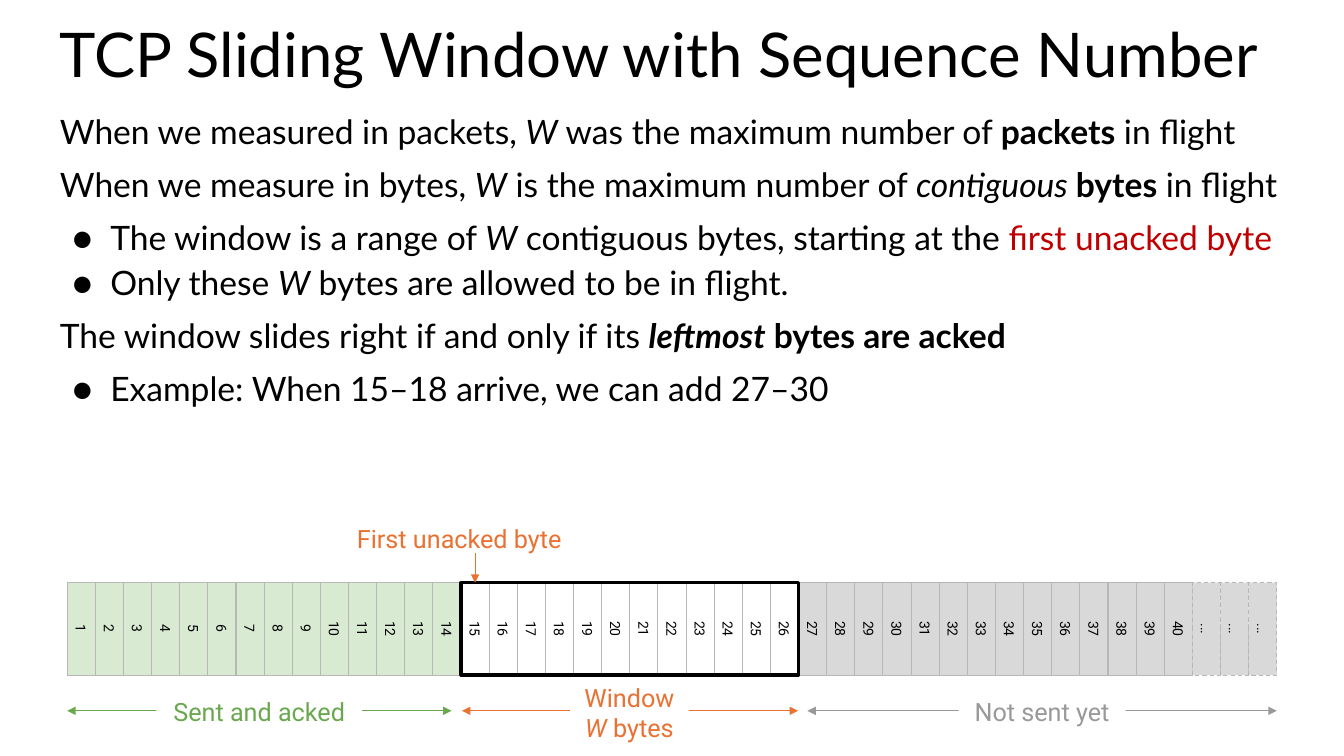
from dataclasses import dataclass

from lxml.etree import SubElement
from pptx import Presentation
from pptx.dml.color import RGBColor
from pptx.enum.dml import MSO_LINE
from pptx.enum.shapes import MSO_CONNECTOR, MSO_SHAPE
from pptx.enum.text import MSO_ANCHOR as Anchor, MSO_AUTO_SIZE, PP_ALIGN as Align
from pptx.oxml.ns import qn
from pptx.shapes.autoshape import Shape
from pptx.shapes.connector import Connector
from pptx.text.text import TextFrame, _Paragraph as Paragraph
from pptx.util import Emu, Pt

EMU_PER_PX = 9525
BLACK = RGBColor(0x00, 0x00, 0x00)
WHITE = RGBColor(0xFF, 0xFF, 0xFF)
RED = RGBColor(0xC0, 0x00, 0x00)
GREEN = RGBColor(0x6A, 0xA8, 0x4F)
ORANGE = RGBColor(0xE9, 0x71, 0x32)
GREY = RGBColor(0x99, 0x99, 0x99)
ACKED_FILL = RGBColor(0xD9, 0xEA, 0xD3)
UNSENT_FILL = RGBColor(0xD9, 0xD9, 0xD9)
CELL_EDGE = RGBColor(0xB7, 0xB7, 0xB7)

# Byte row, in px: 40 numbered cells and three open-ended ones
ROW_LEFT, ROW_RIGHT, ROW_TOP, ROW_HEIGHT = 64, 1216, 555, 88
LAST_BYTE, OPEN_CELLS = 40, 3
WINDOW_FIRST, WINDOW_LAST = 15, 26
CELL_WIDTH = (ROW_RIGHT - ROW_LEFT) / (LAST_BYTE + OPEN_CELLS)
RANGE_Y = 677


@dataclass(frozen=True)
class Span:
    text: str
    bold: bool = False
    italic: bool = False
    color: RGBColor | None = None


@dataclass(frozen=True)
class Point:
    spans: tuple[Span, ...]
    bullet: bool = False
    before: int = 6


@dataclass(frozen=True)
class Label:
    box: tuple[int, int, int, int]
    lines: tuple[tuple[Span, ...], ...]
    color: RGBColor
    fill: RGBColor | None = WHITE
    align: Align = Align.CENTER


@dataclass(frozen=True)
class Range:
    start: int
    end: int
    label: Label


W = Span("W", italic=True)

POINTS = (
    Point((Span("When we measured in packets, "), W, Span(" was the maximum number of "),
           Span("packets", bold=True), Span(" in flight"))),
    Point((Span("When we measure in bytes, "), W, Span(" is the maximum number of "),
           Span("contiguous ", italic=True), Span("bytes", bold=True), Span(" in flight"))),
    Point((Span("The window is a range of "), W, Span(" contiguous bytes, starting at the "),
           Span("first unacked byte", color=RED)), bullet=True),
    Point((Span("Only these "), W, Span(" bytes are allowed to be in flight.")),
          bullet=True, before=0),
    Point((Span("The window slides right if and only if its "),
           Span("leftmost", bold=True, italic=True), Span(" bytes are acked", bold=True))),
    Point((Span("Example: When 15–18 arrive, we can add 27–30"),), bullet=True),
)

RANGES = (
    Range(64, 430, Label((149, 660, 196, 32), ((Span("Sent and acked"),),), GREEN)),
    Range(769, 1216, Label((913, 660, 159, 32), ((Span("Not sent yet"),),), GREY)),
    Range(440, 760, Label((543, 647, 113, 60),
                          ((Span("Window"),), (W, Span(" bytes"))), ORANGE)),
)
FIRST_UNACKED = Label((337, 495, 230, 32), ((Span("First unacked byte"),),), ORANGE,
                      fill=None, align=Align.LEFT)


def px(length: float) -> Emu:
    return Emu(round(length * EMU_PER_PX))


def place(shape: Shape, left: float, top: float, width: float, height: float) -> None:
    shape.left, shape.top, shape.width, shape.height = map(px, (left, top, width, height))


def set_up_frame(frame: TextFrame, inset: int, anchor: Anchor) -> None:
    frame.word_wrap = True
    frame.auto_size = MSO_AUTO_SIZE.NONE
    frame.vertical_anchor = anchor
    frame.margin_left = frame.margin_right = px(inset)
    frame.margin_top = frame.margin_bottom = px(inset)


def write(paragraph: Paragraph, spans: tuple[Span, ...], font: str, size: int,
          color: RGBColor, align: Align) -> None:
    paragraph.alignment = align
    paragraph.font.name, paragraph.font.size = font, Pt(size)
    paragraph.font.color.rgb = color
    for span in spans:
        run = paragraph.add_run()
        run.text = span.text
        if span.bold:
            run.font.bold = True
        if span.italic:
            run.font.italic = True
        if span.color is not None:
            run.font.color.rgb = span.color


def set_bullet(paragraph: Paragraph, bullet: bool) -> None:
    props = paragraph._p.get_or_add_pPr()
    props.set("marL", str(px(48 if bullet else 0)))
    props.set("indent", str(px(-36 if bullet else 0)))
    if bullet:
        SubElement(props, qn("a:buFont"), typeface="Lato")
        SubElement(props, qn("a:buChar"), char="●")
    else:
        SubElement(props, qn("a:buNone"))


def add_cell(position: int, text: str, fill: RGBColor | None, dashed: bool) -> Shape:
    """Add one byte, turned so that its number reads downwards."""
    center_x = ROW_LEFT + (position - 0.5) * CELL_WIDTH
    cell = add_turned_box(center_x, CELL_WIDTH, fill, CELL_EDGE, 0.75)
    if dashed:
        cell.line.dash_style = MSO_LINE.DASH
    set_up_frame(cell.text_frame, 10, Anchor.MIDDLE)
    write(cell.text_frame.paragraphs[0], (Span(text),), "Roboto", 10, BLACK, Align.CENTER)
    return cell


def add_turned_box(center_x: float, breadth: float, fill: RGBColor | None,
                   edge: RGBColor, edge_pt: float) -> Shape:
    box = shapes.add_shape(
        MSO_SHAPE.RECTANGLE, px(center_x - ROW_HEIGHT / 2),
        px(ROW_TOP + (ROW_HEIGHT - breadth) / 2), px(ROW_HEIGHT), px(breadth))
    box.rotation = 90
    box.shadow.inherit = False
    if fill is None:
        box.fill.background()
    else:
        box.fill.solid()
        box.fill.fore_color.rgb = fill
    box.line.color.rgb, box.line.width = edge, Pt(edge_pt)
    return box


def add_arrow(x1: float, y1: float, x2: float, y2: float, color: RGBColor,
              ends: tuple[str, ...]) -> Connector:
    arrow = shapes.add_connector(MSO_CONNECTOR.STRAIGHT, px(x1), px(y1), px(x2), px(y2))
    arrow.line.color.rgb, arrow.line.width = color, Pt(0.75)
    for end in ends:
        SubElement(arrow.line._get_or_add_ln(), qn(f"a:{end}"), type="triangle")
    SubElement(arrow._element.spPr, qn("a:effectLst"))
    return arrow


def add_label(label: Label) -> None:
    box = shapes.add_textbox(*map(px, label.box))
    if label.fill is not None:
        box.fill.solid()
        box.fill.fore_color.rgb = label.fill
    frame = box.text_frame
    set_up_frame(frame, 3, Anchor.TOP)
    for index, spans in enumerate(label.lines):
        paragraph = frame.add_paragraph() if index else frame.paragraphs[0]
        write(paragraph, spans, "Roboto", 18, label.color, label.align)


deck = Presentation()
deck.slide_width, deck.slide_height = px(1280), px(720)
slide = deck.slides.add_slide(deck.slide_layouts[1])
shapes = slide.shapes

# Title
title = shapes.title
place(title, 47, 13, 1186, 86)
set_up_frame(title.text_frame, 10, Anchor.TOP)
heading = title.text_frame.paragraphs[0]
heading.line_spacing = 0.9
write(heading, (Span("TCP Sliding Window with Sequence Number"),), "Lato", 44, BLACK, Align.LEFT)

# Explanation
body = slide.placeholders[1]
place(body, 47, 100, 1186, 300)
set_up_frame(body.text_frame, 10, Anchor.TOP)
for index, point in enumerate(POINTS):
    paragraph = body.text_frame.add_paragraph() if index else body.text_frame.paragraphs[0]
    set_bullet(paragraph, point.bullet)
    paragraph.line_spacing = 0.9
    paragraph.space_before, paragraph.space_after = Pt(point.before), Pt(6)
    write(paragraph, point.spans, "Lato", 24, BLACK, Align.LEFT)

# Bytes and the window around the ones in flight
cells: dict[int, Shape] = {}
for position in range(1, LAST_BYTE + OPEN_CELLS + 1):
    is_open = position > LAST_BYTE
    fill = (ACKED_FILL if position < WINDOW_FIRST
            else None if position <= WINDOW_LAST else UNSENT_FILL)
    cells[position] = add_cell(position, "..." if is_open else str(position), fill, is_open)
window_center = ROW_LEFT + (WINDOW_FIRST - 1 + WINDOW_LAST) / 2 * CELL_WIDTH
window_breadth = (WINDOW_LAST - WINDOW_FIRST + 1) * CELL_WIDTH
add_turned_box(window_center, window_breadth, None, BLACK, 2.25)

# Ranges below the row
for section in RANGES:
    add_arrow(section.start, RANGE_Y, section.end, RANGE_Y, section.label.color,
              ("headEnd", "tailEnd"))
    add_label(section.label)

# Pointer to the first unacked byte; the turned cell's left side faces up
pointer_x = ROW_LEFT + (WINDOW_FIRST - 0.5) * CELL_WIDTH
pointer = add_arrow(pointer_x, ROW_TOP, pointer_x, 527, ORANGE, ("headEnd",))
pointer.begin_connect(cells[WINDOW_FIRST], 1)
pointer.begin_x, pointer.begin_y = px(pointer_x), px(ROW_TOP)
pointer.end_x, pointer.end_y = px(pointer_x), px(527)
add_label(FIRST_UNACKED)

deck.save("out.pptx")
